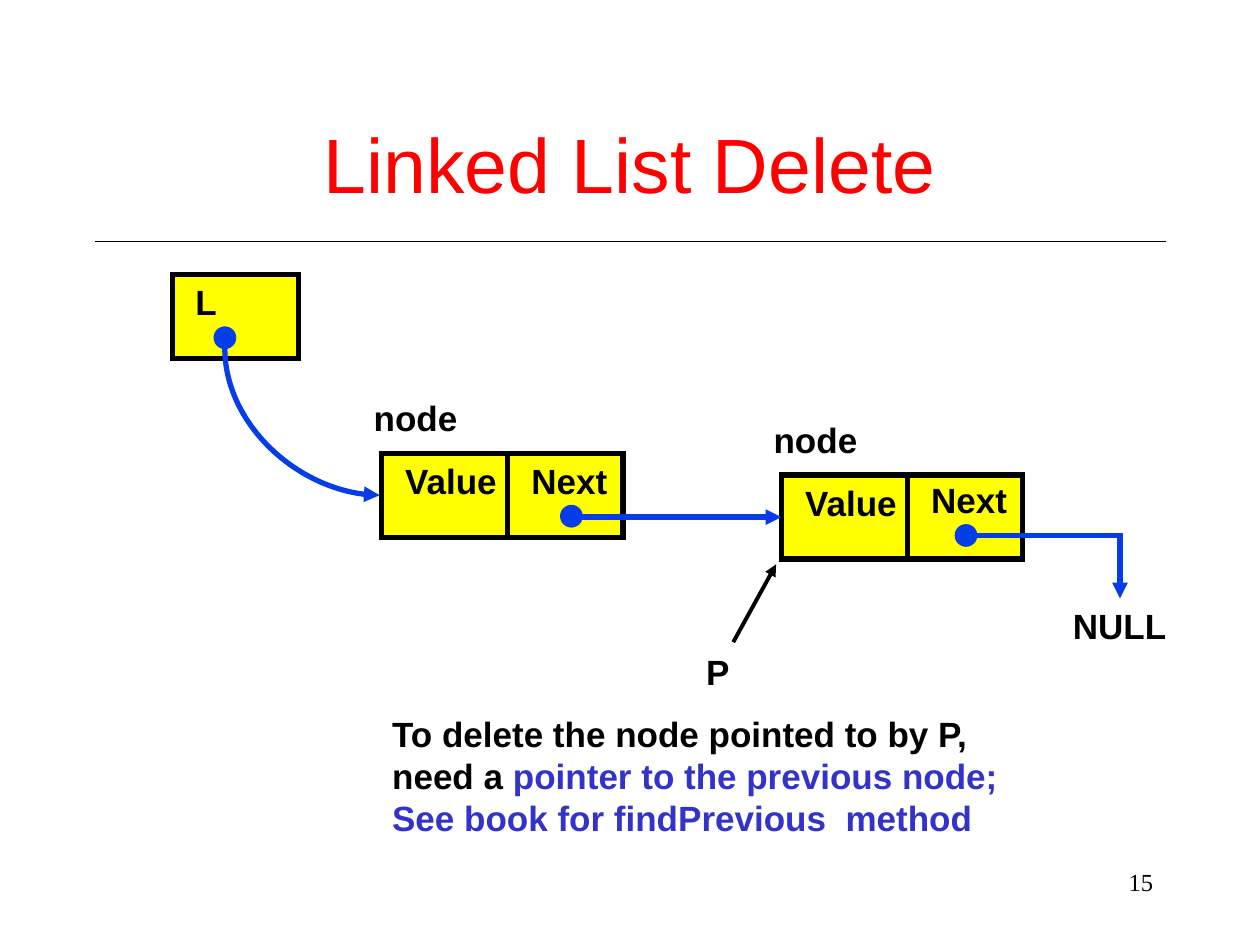
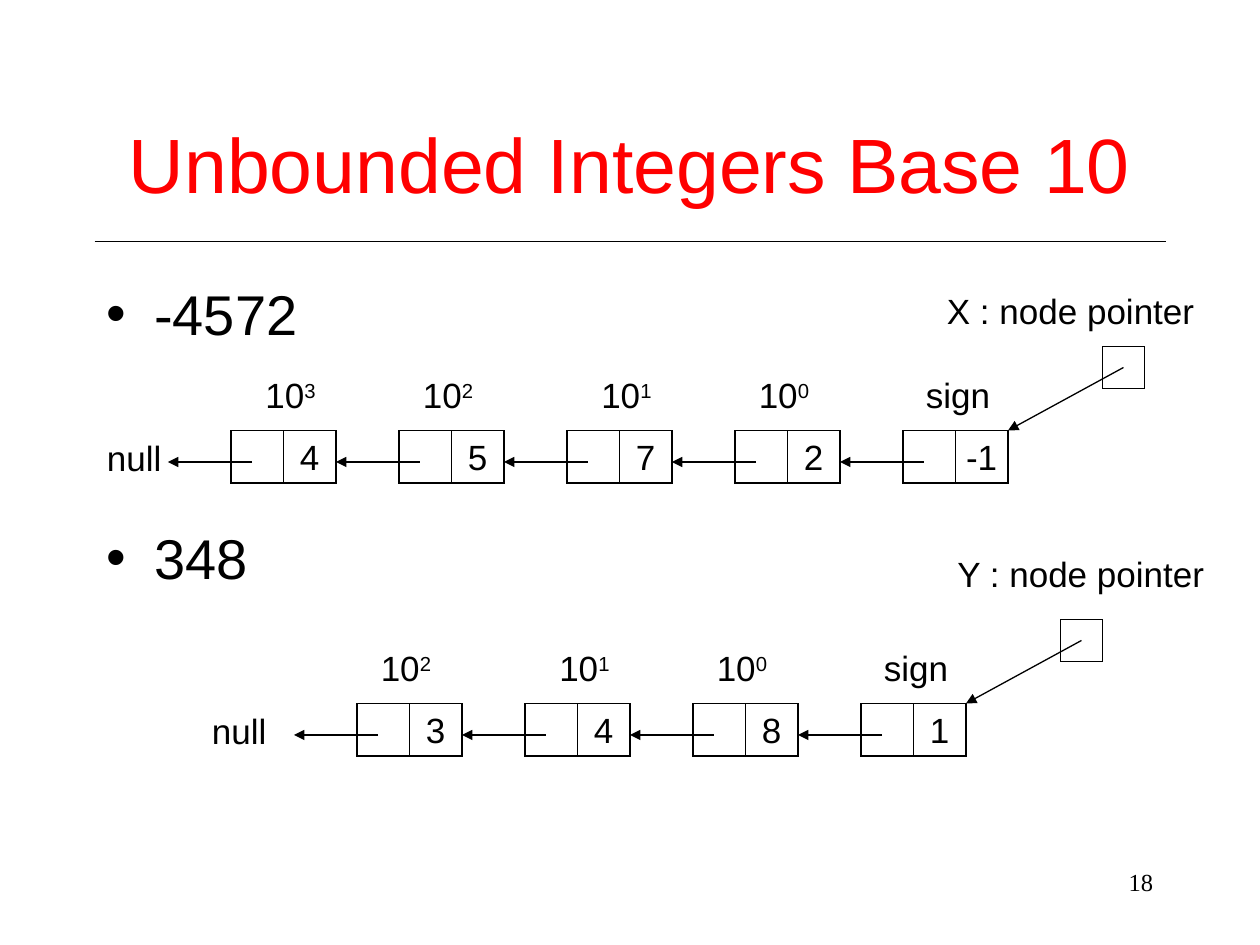
from lxml.etree import SubElement
from pptx import Presentation
from pptx.dml.color import RGBColor
from pptx.enum.shapes import MSO_CONNECTOR, MSO_SHAPE
from pptx.enum.text import MSO_ANCHOR, MSO_AUTO_SIZE, PP_ALIGN
from pptx.oxml.ns import qn
from pptx.util import Pt

HUES = {
    "ink": "000000",
    "title": "FF0000",
    "node": "FFFF00",
    "link": "063DE8",
    "note": "3333CC",
}
CELL, STEP = 30, 96
SHIFTS = [54, 149.5, 239.5, 341.5, 431.5]


def hue(name):
    """Return the named colour."""
    return RGBColor.from_string(HUES[name])


def style(para, size=20, bold=False, color="ink", face="Arial", align=PP_ALIGN.LEFT):
    """Set the font and alignment of a paragraph."""
    para.alignment = align
    font = para.font
    font.size, font.bold, font.name = Pt(size), bold, face
    font.color.rgb = hue(color)


def add_text(slide, text, left, top, width, height=31.7, wrap=False,
             anchor=MSO_ANCHOR.TOP, **look):
    """Add a text box with one styled paragraph and return the paragraph."""
    box = slide.shapes.add_textbox(Pt(left), Pt(top), Pt(width), Pt(height))
    frame = box.text_frame
    frame.word_wrap, frame.vertical_anchor = wrap, anchor
    if not wrap:
        frame.auto_size = MSO_AUTO_SIZE.SHAPE_TO_FIT_TEXT
    para = frame.paragraphs[0]
    para.text = text
    style(para, **look)
    return para


def add_shape(slide, kind, left, top, width, height, fill=None, line="ink", weight=0.75):
    """Add a flat preset shape with sharp corners."""
    shape = slide.shapes.add_shape(kind, Pt(left), Pt(top), Pt(width), Pt(height))
    shape.shadow.inherit = False
    if fill:
        shape.fill.solid()
        shape.fill.fore_color.rgb = hue(fill)
    else:
        shape.fill.background()
    shape.line.color.rgb = hue(line)
    shape.line.width = Pt(weight)
    SubElement(shape.line._get_or_add_ln(), qn("a:miter"), lim="800000")
    return shape


def add_link(slide, start, end, color="ink", weight=0.75, head=True,
             kind=MSO_CONNECTOR.STRAIGHT):
    """Add a connector, with an arrowhead unless told otherwise."""
    link = slide.shapes.add_connector(kind, *map(Pt, start + end))
    link.line.color.rgb = hue(color)
    link.line.width = Pt(weight)
    line = link.line._get_or_add_ln()
    SubElement(line, qn("a:miter"), lim="800000")
    if head:
        SubElement(line, qn("a:tailEnd"), type="triangle")
    props = link._element.spPr
    SubElement(props, qn("a:effectLst"))
    if kind != MSO_CONNECTOR.STRAIGHT:
        geom = props.find(qn("a:prstGeom"))
        geom.set("prst", geom.get("prst").replace("3", "2"))
    return link


def add_curve(slide, start, end):
    """Add a curved arrow that leaves downward and arrives sideways."""
    wide, high = end[0] - start[0], end[1] - start[1]
    skew = (wide - high) / 2
    first = (start[0] + skew, start[1] - skew)
    last = (first[0] + high, first[1] + wide)
    link = add_link(slide, first, last, "link", 3, kind=MSO_CONNECTOR.CURVE)
    frame = link._element.spPr.find(qn("a:xfrm"))
    frame.set("rot", "16200000")
    frame.set("flipH", "1")


def add_base(deck, title, number):
    """Add a slide with its title, rule and number."""
    slide = deck.slides.add_slide(deck.slide_layouts[6])
    add_link(slide, (54, 138), (666, 138), head=False)
    add_text(slide, str(number), 516, 492, 150, 36, True, size=14,
             face="Times New Roman", align=PP_ALIGN.RIGHT)
    add_text(slide, title, 54, 48, 612, 90, True, MSO_ANCHOR.MIDDLE,
             size=44, color="title", align=PP_ALIGN.CENTER)
    return slide


def add_box(slide, left, top, width):
    """Add a yellow box with a thick outline."""
    return add_shape(slide, MSO_SHAPE.RECTANGLE, left, top, width, 48, "node", weight=3)


def add_dot(slide, left, top):
    """Add the round start of a pointer."""
    add_shape(slide, MSO_SHAPE.OVAL, left, top, 12, 12, "link", "link", 1)


def add_node(slide, left, top, lift=0):
    """Add a node with value and next fields and return the value box."""
    value = add_box(slide, left, top, 72)
    add_box(slide, left + 72, top, 66)
    for text, x, y, width in (("node", -11.5, -36, 64), ("Value", 6.5, 0, 69),
                              ("Next", 78.5, -lift, 60)):
        add_text(slide, text, left + x, top + y, width, bold=True)
    return value


def add_power(slide, power, left, top):
    """Add ten raised to a power."""
    para = add_text(slide, "10", left, top, 43.5)
    run = para.add_run()
    run.text = str(power)
    run._r.get_or_add_rPr().set("baseline", "30000")


def add_list(slide, digits, right, top):
    """Add a chain of digit nodes, lowest digit last, with its pointer."""
    for place, digit in enumerate(reversed(digits)):
        left = right - 2 * CELL - place * STEP
        cell = add_shape(slide, MSO_SHAPE.RECTANGLE, left + CELL, top, CELL, CELL)
        frame = cell.text_frame
        frame.word_wrap, frame.vertical_anchor = False, MSO_ANCHOR.MIDDLE
        frame.text = digit
        style(frame.paragraphs[0], align=PP_ALIGN.CENTER)
        add_shape(slide, MSO_SHAPE.RECTANGLE, left, top, CELL, CELL)
        add_link(slide, (left + 12, top + 18), (left - 36, top + 18))
        spot = (right - SHIFTS[place], top - 36)
        if place:
            add_power(slide, place - 1, *spot)
        else:
            add_text(slide, "sign", *spot, 52)
    add_shape(slide, MSO_SHAPE.RECTANGLE, right + 54, top - 48, 24, 24)
    add_link(slide, (right + 66, top - 36), (right, top))


def add_items(slide, items, gap):
    """Add a bulleted list with a gap between items."""
    box = slide.shapes.add_textbox(Pt(54), Pt(156), Pt(612), Pt(270))
    frame = box.text_frame
    frame.word_wrap = True
    for i, item in enumerate(items):
        para = frame.add_paragraph() if i else frame.paragraphs[0]
        para.text = item
        props = para._p.get_or_add_pPr()
        props.set("marL", str(Pt(27)))
        props.set("indent", str(Pt(-27)))
        SubElement(props, qn("a:buFont"), typeface="Arial")
        SubElement(props, qn("a:buChar"), char="•")
        style(para, 32)
        if i:
            para.space_before = Pt(gap)


def add_note(slide):
    """Add the remark on deleting a node."""
    para = add_text(slide, "To delete the node pointed to by P,", 217, 403.5, 361, 79,
                    bold=True)
    frame = para._parent
    para = frame.add_paragraph()
    para.text = "need a "
    run = para.add_run()
    run.text = "pointer to the previous node;"
    run.font.color.rgb = hue("note")
    style(para, bold=True)
    para = frame.add_paragraph()
    para.text = "See book for findPrevious  method"
    style(para, bold=True, color="note")


def draw_delete(deck):
    """Draw the linked list slide."""
    slide = add_base(deck, "Linked List Delete", 15)
    add_box(slide, 98.5, 157, 72)
    add_text(slide, "L", 104.5, 157, 27, bold=True)
    add_node(slide, 218, 259)
    target = add_node(slide, 446.5, 271.5, 1.5)
    for spot in ((122.5, 187), (320.5, 289), (546, 300)):
        add_dot(slide, *spot)
    add_curve(slide, (128.5, 199), (217, 283))
    link = add_link(slide, (332.5, 295.5), (446.5, 295.5), "link", 3)
    link.end_connect(target, 1)
    add_link(slide, (558, 306), (640, 342), "link", 3, kind=MSO_CONNECTOR.ELBOW)
    add_text(slide, "NULL", 606, 342, 68, bold=True)
    add_text(slide, "P", 396.5, 368, 28, bold=True)
    add_link(slide, (419, 367), (443.5, 322.5), weight=2.25)
    add_note(slide)


def draw_digits(deck):
    """Draw the unbounded integers slide."""
    slide = add_base(deck, "Unbounded Integers Base 10", 18)
    add_items(slide, ["-4572", "348"], 101)
    add_list(slide, ["4", "5", "7", "2", "-1"], 576, 246)
    add_list(slide, ["3", "4", "8", "1"], 552, 402)
    for text, left, top, width in (
        ("null", 54, 246, 46),
        ("null", 114, 402, 46),
        ("X : node pointer", 534, 162, 157),
        ("Y : node pointer", 540, 312, 157),
    ):
        add_text(slide, text, left, top, width)


def main():
    """Build and save the deck."""
    deck = Presentation()
    deck.slide_width, deck.slide_height = Pt(720), Pt(540)
    draw_delete(deck)
    draw_digits(deck)
    deck.save("out.pptx")


if __name__ == "__main__":
    main()
